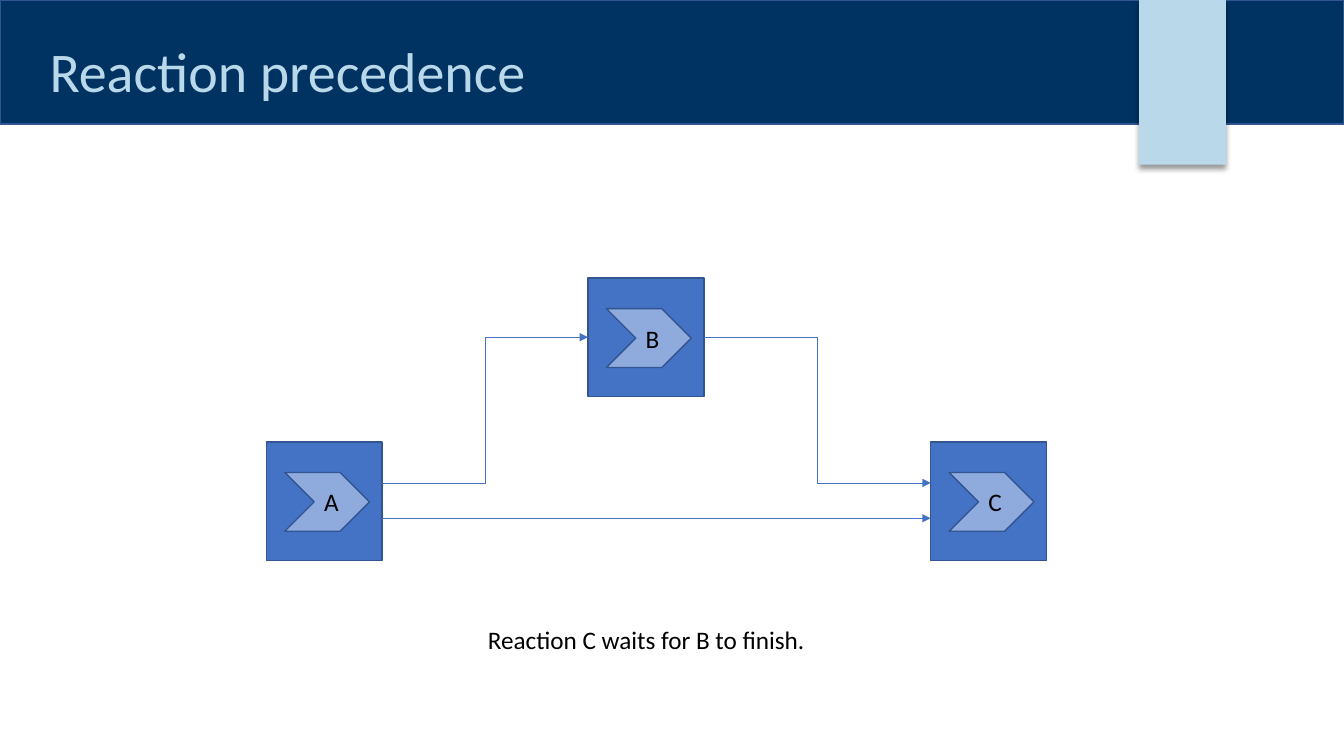
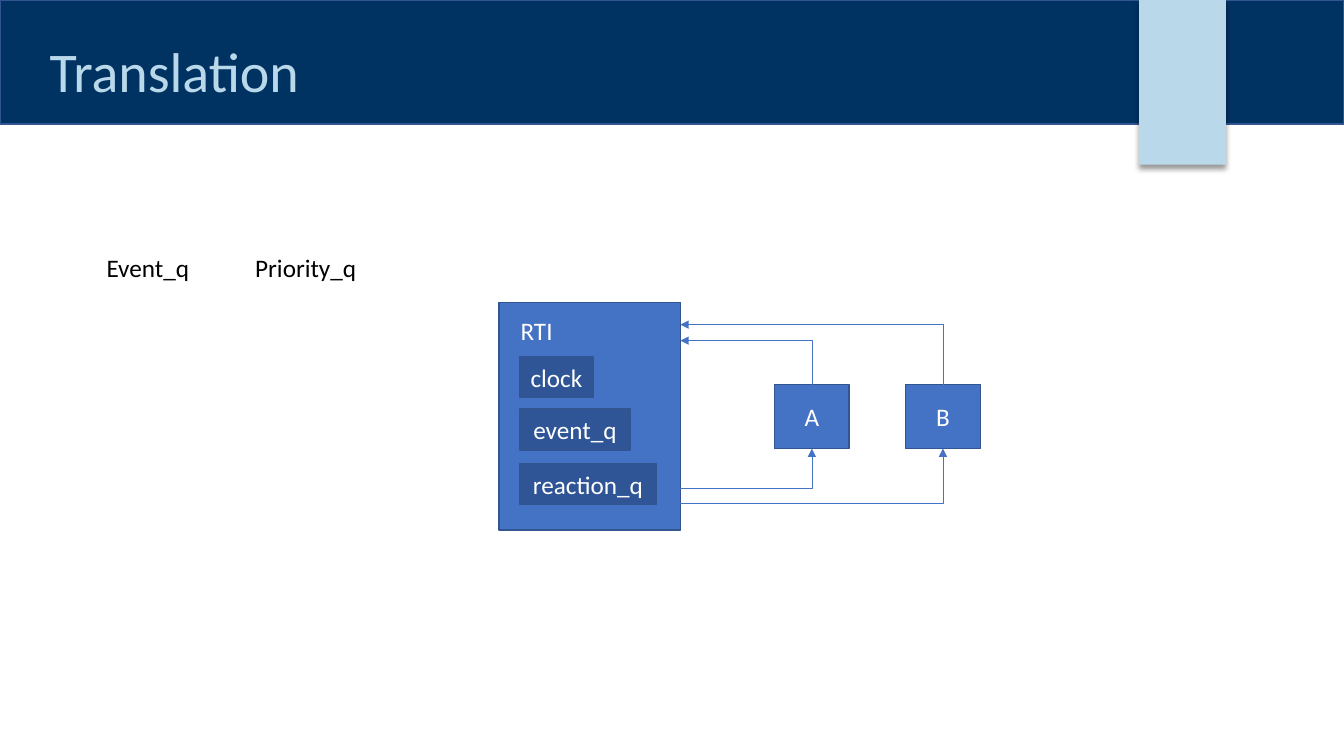
"""Build two slides on reaction order and its translation."""
from dataclasses import dataclass
from typing import Any, NamedTuple

from lxml import etree
from pptx import Presentation
from pptx.dml.color import RGBColor
from pptx.enum.shapes import MSO_CONNECTOR, MSO_SHAPE
from pptx.enum.text import MSO_ANCHOR, MSO_AUTO_SIZE, PP_ALIGN
from pptx.oxml.ns import qn
from pptx.shapes.autoshape import Shape
from pptx.slide import Slide
from pptx.util import Emu, Pt

RECT, CHEVRON = MSO_SHAPE.RECTANGLE, MSO_SHAPE.CHEVRON
STRAIGHT, ELBOW = MSO_CONNECTOR.STRAIGHT, MSO_CONNECTOR.ELBOW
LEFT, CENTER = PP_ALIGN.LEFT, PP_ALIGN.CENTER
TOP, MIDDLE, BOTTOM = MSO_ANCHOR.TOP, MSO_ANCHOR.MIDDLE, MSO_ANCHOR.BOTTOM
FIXED, GROW = MSO_AUTO_SIZE.NONE, MSO_AUTO_SIZE.SHAPE_TO_FIT_TEXT
COLS, ROWS, CELL = 160, 90, 76200
TITLE_ONLY = 5


@dataclass(frozen=True)
class Theme:
    """Colours, type and line sizes of the deck."""

    navy: str = "003262"
    sky: str = "B9D9EB"
    blue: str = "4472C4"
    pale: str = "8FAADC"
    deep: str = "2F5597"
    edge: str = "325491"
    black: str = "000000"
    white: str = "FFFFFF"
    font: str = "Calibri"
    title: float = 40
    body: float = 18
    rim: float = 1
    wire: float = 0.5


class Area(NamedTuple):
    """A place on the grid, in columns and rows."""

    x: float
    y: float
    w: float
    h: float

    @property
    def right(self) -> float:
        """Return the right edge."""
        return self.x + self.w

    @property
    def base(self) -> float:
        """Return the bottom edge."""
        return self.y + self.h

    @property
    def mid(self) -> tuple[float, float]:
        """Return the centre."""
        return self.x + self.w / 2, self.y + self.h / 2


class Note(NamedTuple):
    """A line of free text and its place."""

    text: str
    area: Area
    color: str


class Wire(NamedTuple):
    """A connector with its joints and arrow end."""

    start: tuple[float, float]
    end: tuple[float, float]
    kind: Any = ELBOW
    preset: str = ""
    arrow: str = "tailEnd"
    begin_connect: tuple[Shape, int] | None = None
    end_connect: tuple[Shape, int] | None = None


THEME = Theme()


def grid(*cells: float) -> list[Emu]:
    """Turn grid cells into lengths."""
    return [Emu(round(cell * CELL)) for cell in cells]


def assign(target: Any, values: dict[str, Any]) -> None:
    """Set each named value on the target."""
    for name, value in values.items():
        setattr(target, name, value)


def write(shape: Shape, text: str, color: str, size: float = THEME.body,
          frame: dict[str, Any] | None = None, para: dict[str, Any] | None = None) -> None:
    """Put one styled line of text in a shape."""
    body = shape.text_frame
    body.text = text
    assign(body, frame or {})
    line = body.paragraphs[0]
    assign(line, para or {})
    font = line.runs[0].font
    assign(font, {"name": THEME.font, "size": Pt(size)})
    font.color.rgb = RGBColor.from_string(color)


def block(slide: Slide, area: Area, fill: str, text: str = "", ink: str = THEME.white,
          form: Any = RECT, edge: bool = True) -> Shape:
    """Draw a filled shape with a centred label."""
    shape = slide.shapes.add_shape(form, *grid(*area))
    shape.shadow.inherit = False
    shape.fill.solid()
    shape.fill.fore_color.rgb = RGBColor.from_string(fill)
    if edge:
        shape.line.color.rgb = RGBColor.from_string(THEME.edge)
        shape.line.width = Pt(THEME.rim)
    else:
        shape.line.fill.background()
    if text:
        write(shape, text, ink, frame={"vertical_anchor": MIDDLE, "word_wrap": True},
              para={"alignment": CENTER})
    return shape


def label(slide: Slide, note: Note) -> None:
    """Draw a line of free text."""
    box = slide.shapes.add_textbox(*grid(*note.area))
    write(box, note.text, note.color,
          frame={"word_wrap": False, "auto_size": GROW, "vertical_anchor": TOP},
          para={"alignment": LEFT})


def link(slide: Slide, wire: Wire) -> None:
    """Draw a connector with one arrowhead."""
    line = slide.shapes.add_connector(wire.kind, *grid(*wire.start, *wire.end))
    for name in ("begin_connect", "end_connect"):
        joint = getattr(wire, name)
        if joint:
            getattr(line, name)(*joint)
    line.line.color.rgb = RGBColor.from_string(THEME.blue)
    line.line.width = Pt(THEME.wire)
    props = line.element.spPr
    if wire.preset:
        props.find(qn("a:prstGeom")).set("prst", wire.preset)
    etree.SubElement(props.find(qn("a:ln")), qn(f"a:{wire.arrow}"), type="triangle")
    etree.SubElement(props, qn("a:effectLst"))


def shade(shape: Shape) -> None:
    """Give a shape a soft shadow below it."""
    effects = shape.element.spPr.find(qn("a:effectLst"))
    cast = etree.SubElement(effects, qn("a:outerShdw"), blurRad=str(Pt(4)), dist=str(Pt(3)),
                            dir="5400000", algn="t", rotWithShape="0")
    tint = etree.SubElement(cast, qn("a:srgbClr"), val=THEME.black)
    etree.SubElement(tint, qn("a:alpha"), val="40000")


def begin(deck: Any, text: str) -> Slide:
    """Add a slide with the shared band, tab and title."""
    slide = deck.slides.add_slide(deck.slide_layouts[TITLE_ONLY])
    block(slide, Area(0, 0, COLS, 14.75), THEME.navy)
    shade(block(slide, Area(135.6, 0, 10.35, 19.6), THEME.sky, edge=False))
    title = slide.shapes.title
    title.element.getparent().append(title.element)
    places = grid(4.7, 1.8, 126.1, 11.2)
    assign(title, dict(zip(("left", "top", "width", "height"), places)))
    write(title, text, THEME.sky, THEME.title,
          frame={"vertical_anchor": BOTTOM, "auto_size": FIXED, "word_wrap": True},
          para={"alignment": LEFT, "line_spacing": 0.9})
    return slide


def order(deck: Any) -> None:
    """Build the slide on reaction order."""
    slide = begin(deck, "Reaction precedence")
    low, high = 52.6, 33.1
    spots = {"A": (31.7, low), "C": (110.8, low), "B": (70, high)}
    areas = {name: Area(*spot, 13.8, 14.1) for name, spot in spots.items()}
    boxes = {}
    for name, area in areas.items():
        boxes[name] = block(slide, area, THEME.blue)
        block(slide, Area(area.x + 2.2, area.y + 3.65, 10.1, 7), THEME.pale, name,
              THEME.black, CHEVRON)
    first, mid, last = areas["A"], areas["B"], areas["C"]
    upper, lower = low + 4.9, low + 9.1
    for wire in (
        Wire((first.right, lower), (last.x, lower), STRAIGHT),
        Wire((first.right, upper), (mid.x, mid.mid[1]), end_connect=(boxes["B"], 1)),
        Wire((mid.right, mid.mid[1]), (last.x, upper), begin_connect=(boxes["B"], 3)),
    ):
        link(slide, wire)
    label(slide, Note("Reaction C waits for B to finish.", Area(56.9, 73.7, 40.6, 4.8),
                      THEME.black))


def runtime(deck: Any) -> None:
    """Build the slide on translation."""
    slide = begin(deck, "Translation")
    core = Area(59.4, 36, 21.6, 27.1)
    areas = {name: Area(92.2 + 15.6 * step, 45.8, 8.9, 7.6) for step, name in enumerate("AB")}
    boxes = {name: block(slide, area, THEME.blue, name) for name, area in areas.items()}
    block(slide, core, THEME.blue)
    for note in (
        Note("Event_q", Area(11.5, 29.5, 12.4, 4.8), THEME.black),
        Note("Priority_q", Area(29.2, 29.5, 14.5, 4.8), THEME.black),
        Note("RTI", Area(60.8, 37, 6.3, 4.8), THEME.white),
    ):
        label(slide, note)
    for text, top, width in (("clock", 42.45, 8.7), ("event_q", 48.7, 13.1),
                             ("reaction_q", 55.2, 16.2)):
        block(slide, Area(61.9, top, width, 4.9), THEME.deep, text)
    for step, (name, area) in enumerate(areas.items()):
        center = area.mid[0]
        link(slide, Wire((core.right, 40.55 - 1.9 * step), (center, area.y),
                         preset="bentConnector2", arrow="headEnd",
                         end_connect=(boxes[name], 0)))
        link(slide, Wire((core.right, 58.1 + 1.8 * step), (center, area.base),
                         preset="bentConnector2", end_connect=(boxes[name], 2)))


def main() -> None:
    """Build and save the deck."""
    deck = Presentation()
    deck.slide_width, deck.slide_height = grid(COLS, ROWS)
    order(deck)
    runtime(deck)
    deck.save("out.pptx")


if __name__ == "__main__":
    main()
